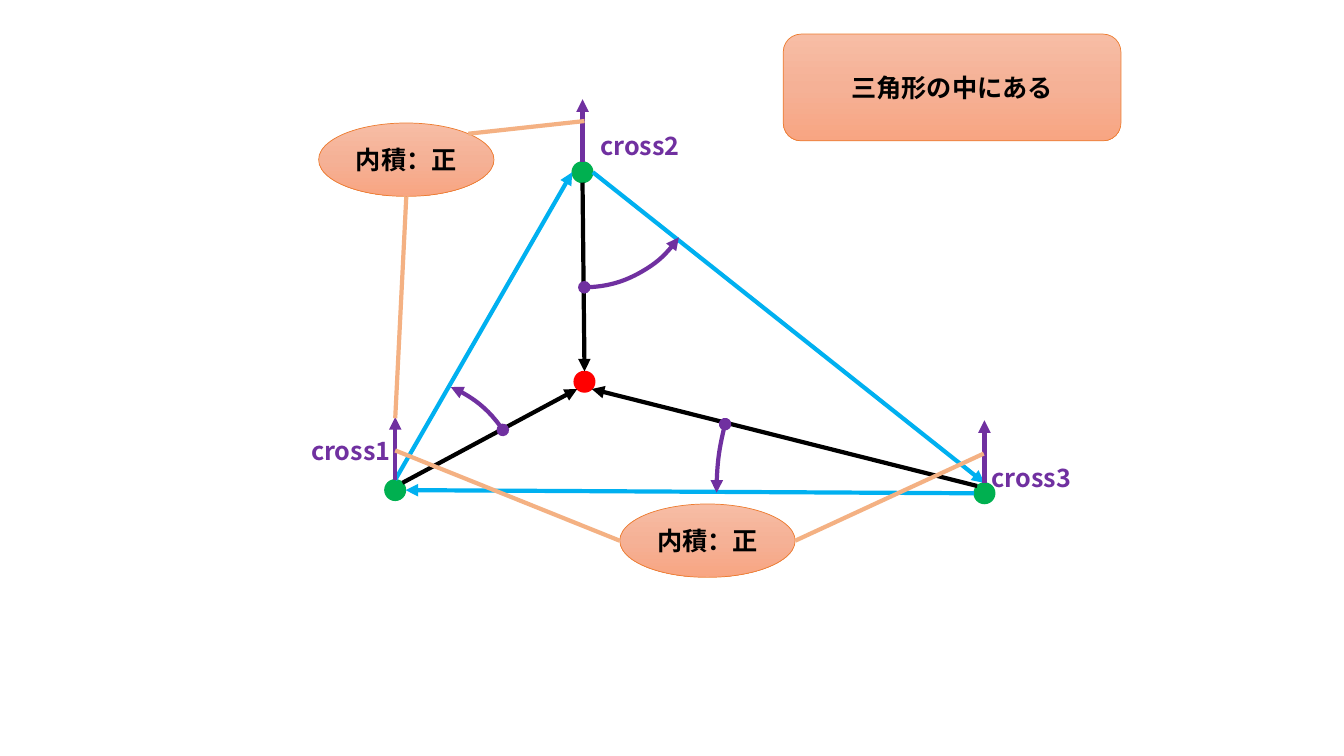
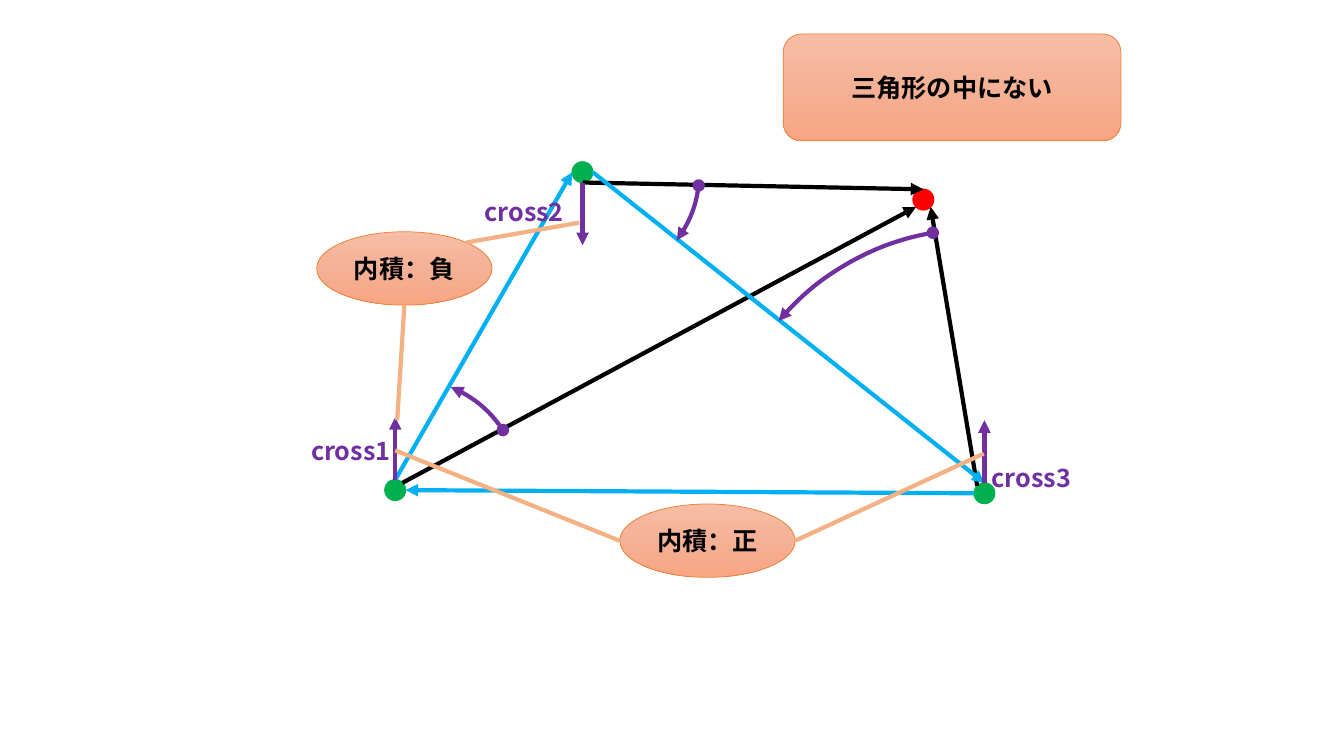
from copy import deepcopy
from math import hypot

from pptx import Presentation
from pptx.dml.color import RGBColor
from pptx.enum.shapes import MSO_CONNECTOR as Connector, MSO_SHAPE as Shape
from pptx.enum.text import MSO_ANCHOR as Anchor, MSO_AUTO_SIZE as AutoSize, PP_ALIGN as Align
from pptx.oxml.ns import qn
from pptx.oxml.xmlchemy import OxmlElement
from pptx.util import Cm, Pt

FONT, TEXT_SIZE, LINE_WIDTH = "Noto Sans CJK JP", 18, 3
BLACK, RED, GREEN, BLUE = "000000", "FF0000", "00B050", "00B0F0"
PURPLE, ORANGE, PEACH = "7030A0", "ED7D31", "F4B183"
GRADIENT = ["F7BDA5", "F5B196", "F8A582"]

# All lengths are in centimetres, all angles in degrees.
DOT = 0.52
CORNER_1, CORNER_2, CORNER_3 = (9.96, 12.35), (14.68, 4.34), (24.81, 12.43)
ARROW = 1.58
LABEL_SIZE = (7.01, 1.02)
BUBBLE_SIZE = (4.42, 1.85)
TITLE_BOX = (19.74, 0.86, 8.51, 2.69)
ARC_CIRCLES = [(7.32, 9.53, 5.84, 5.84), (11.79, 1.4, 5.84, 5.84), (18.06, 5.77, 13.13, 13.18)]
LABEL_1, LABEL_3 = ("cross1", (7.59, 10.85)), ("cross3", (24.74, 11.53))
LOWER_BUBBLE = ("内積:正".replace(":", "："), (15.62, 12.7))
LOWER_TARGETS = [(9.96, 11.35), (24.79, 11.43)]
TO_START, TO_END = ("triangle", "oval"), ("oval", "triangle")

SLIDES = [
    {
        "title": "三角形の中にある",
        "point": (14.73, 9.62),
        "arcs": [(292.6, 326.4, TO_START), (34.7, 89.65, TO_START), (179.5, 194.75, TO_START)],
        "label_2": ("cross2", (14.88, 3.15)),
        "cross_2_direction": -1,
        "upper_bubble": ("内積：正", (8.03, 3.1)),
        "upper_targets": [(9.96, 10.54), (14.73, 3.05)],
    },
    {
        "title": "三角形の中にない",
        "point": (23.27, 5.03),
        "arcs": [(292.6, 326.5, TO_START), (7, 36.55, TO_END), (220.5, 260.25, TO_START)],
        "label_2": ("cross2", (11.96, 4.83)),
        "cross_2_direction": 1,
        "upper_bubble": ("内積：負", (7.98, 5.84)),
        "upper_targets": [(10.01, 10.59), (14.6, 5.61)],
    },
]


def color(value):
    """Turn a hex string into a colour."""
    return RGBColor.from_string(value)


def lengths(values):
    """Turn centimetre numbers into lengths."""
    return [Cm(value) for value in values]


def dot_box(center):
    """Return the box of a dot around its centre."""
    return (center[0] - DOT / 2, center[1] - DOT / 2, DOT, DOT)


def rim(box, across, down):
    """Return the point on an ellipse's rim in the given direction."""
    left, top, width, height = box
    reach = 2 * hypot(across, down)
    return (left + width / 2 + across * width / reach,
            top + height / 2 + down * height / reach)


def set_line(line, value, width=LINE_WIDTH, ends=(None, None)):
    """Colour a line and put ends on its start and finish."""
    line.color.rgb = color(value)
    line.width = Pt(width)
    for tag, end in zip(("a:headEnd", "a:tailEnd"), ends):
        if end:
            element = OxmlElement(tag)
            element.set("type", end)
            line._get_or_add_ln().append(element)


def add_line(slide, start, finish, value, end=None):
    """Draw a straight line, optionally with an end at its finish."""
    connector = slide.shapes.add_connector(Connector.STRAIGHT, *lengths(start + finish))
    set_line(connector.line, value, ends=(None, end))
    connector._element.spPr.append(OxmlElement("a:effectLst"))


def add_plain(slide, kind, box):
    """Add a preset shape without shadow."""
    shape = slide.shapes.add_shape(kind, *lengths(box))
    shape.shadow.inherit = False
    return shape


def add_dot(slide, box, value):
    """Draw a round point."""
    dot = add_plain(slide, Shape.OVAL, box)
    dot.fill.solid()
    dot.fill.fore_color.rgb = color(value)
    set_line(dot.line, value, 1)


def add_arc(slide, circle, start, finish, ends):
    """Draw the part of a circle between two angles."""
    arc = add_plain(slide, Shape.ARC, circle)
    arc.adjustments[0], arc.adjustments[1] = start * 0.6, finish * 0.6
    arc.fill.background()
    set_line(arc.line, PURPLE, ends=ends)


def write(paragraph, text, value):
    """Add one bold run in the common font."""
    run = paragraph.add_run()
    run.text = text
    run.font.name, run.font.size, run.font.bold = FONT, Pt(TEXT_SIZE), True
    run.font.color.rgb = color(value)
    east_asian = OxmlElement("a:ea")
    east_asian.set("typeface", FONT)
    run.font._element.find(qn("a:latin")).addnext(east_asian)


def add_label(slide, text, position):
    """Write the name of a cross product."""
    frame = slide.shapes.add_textbox(*lengths(position + LABEL_SIZE)).text_frame
    frame.word_wrap = True
    frame.auto_size = AutoSize.SHAPE_TO_FIT_TEXT
    write(frame.paragraphs[0], text, PURPLE)


def add_panel(slide, kind, box, text):
    """Draw an orange gradient shape with centred text."""
    panel = add_plain(slide, kind, box)
    panel.fill.gradient()
    panel.fill.gradient_angle = 270
    stop_list = panel._element.spPr.find(qn("a:gradFill")).find(qn("a:gsLst"))
    stop_list.insert(1, deepcopy(stop_list[0]))
    for index, (stop, value) in enumerate(zip(panel.fill.gradient_stops, GRADIENT)):
        stop.position = index / 2
        stop.color.rgb = color(value)
    set_line(panel.line, ORANGE, 0.5)
    panel.text_frame.vertical_anchor = Anchor.MIDDLE
    paragraph = panel.text_frame.paragraphs[0]
    paragraph.alignment = Align.CENTER
    write(paragraph, text, BLACK)


def add_vectors(slide, corners, point):
    """Draw the arrows along the triangle and from its corners to the point."""
    first, second, third = corners
    inner = [
        (rim(first, 1, -1), rim(point, -1, 1)),
        (rim(second, 0, 1), rim(point, 0, -1)),
        (rim(third, -1, -1), rim(point, 1, 1)),
    ]
    edges = [
        (rim(first, 0, -1), rim(second, -1, 0)),
        (rim(second, 1, 0), rim(third, 0, -1)),
        (rim(third, -1, 0), rim(first, 1, 0)),
    ]
    for vectors, value in ((inner, BLACK), (edges, BLUE)):
        for start, finish in vectors:
            add_line(slide, start, finish, value, "triangle")


def add_bubbles(slide, content):
    """Draw both dot product bubbles and the lines to their cross products."""
    bubbles = [
        (content["upper_bubble"], content["upper_targets"], [(0, 1), (1, -1)]),
        (LOWER_BUBBLE, LOWER_TARGETS, [(-1, 0), (1, 0)]),
    ]
    for (text, position), targets, directions in bubbles:
        box = position + BUBBLE_SIZE
        add_panel(slide, Shape.OVAL, box, text)
        for direction, target in zip(directions, targets):
            add_line(slide, rim(box, *direction), target, PEACH)


def build_slide(presentation, content):
    """Build one slide about a triangle and a point."""
    slide = presentation.slides.add_slide(presentation.slide_layouts[6])
    corners = [dot_box(center) for center in (CORNER_1, CORNER_2, CORNER_3)]
    point = dot_box(content["point"])
    for box in corners:
        add_dot(slide, box, GREEN)
    add_dot(slide, point, RED)
    add_vectors(slide, corners, point)
    for circle, arc in zip(ARC_CIRCLES, content["arcs"]):
        add_arc(slide, circle, *arc)
    for text, position in (LABEL_1, content["label_2"], LABEL_3):
        add_label(slide, text, position)
    for box, direction in zip(corners, (-1, content["cross_2_direction"], -1)):
        start = rim(box, 0, direction)
        add_line(slide, start, (start[0], start[1] + direction * ARROW), PURPLE, "triangle")
    add_bubbles(slide, content)
    add_panel(slide, Shape.ROUNDED_RECTANGLE, TITLE_BOX, content["title"])


presentation = Presentation()
presentation.slide_width, presentation.slide_height = Cm(33.87), Cm(19.05)
for content in SLIDES:
    build_slide(presentation, content)
presentation.save("out.pptx")
